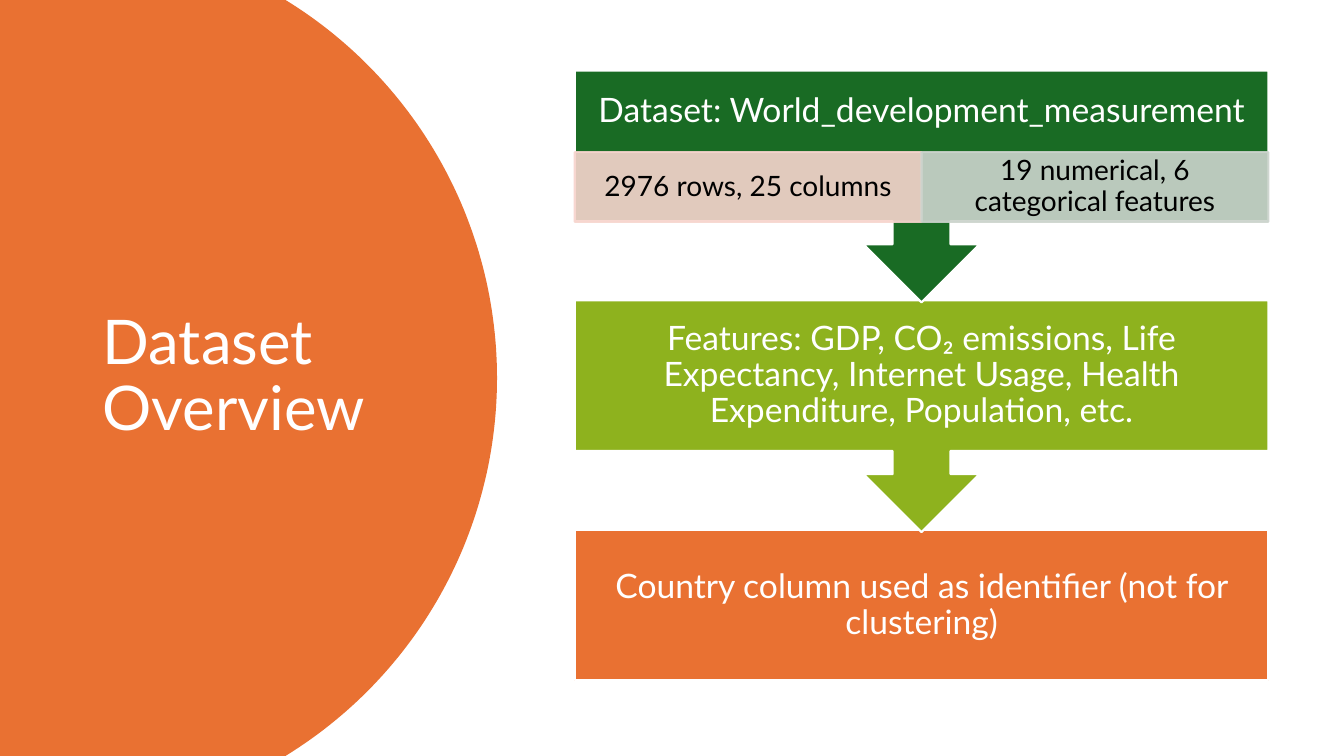
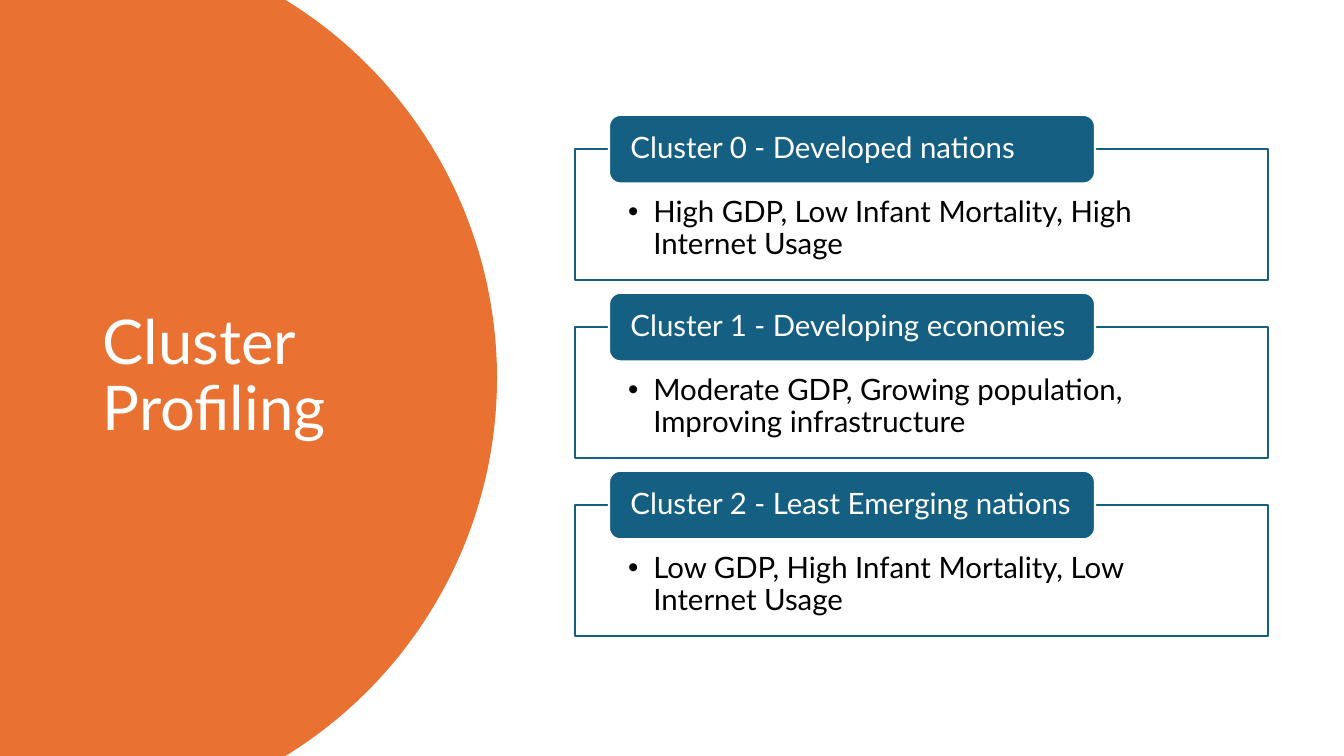
from dataclasses import dataclass
from math import asin, cos, pi, sin

from lxml.etree import SubElement
from pptx import Presentation
from pptx.dml.color import RGBColor
from pptx.enum.shapes import MSO_SHAPE
from pptx.enum.text import MSO_ANCHOR, PP_ALIGN
from pptx.oxml.ns import qn
from pptx.shapes.autoshape import Shape
from pptx.slide import Slide
from pptx.text.text import _Paragraph as Paragraph
from pptx.util import Inches, Pt

# Shared look
FONT = "Lato"
WHITE, BLACK = "FFFFFF", "000000"
ORANGE, LIME, GREEN, BLUE = "E97132", "8EB21E", "196B24", "156082"
PEACH, SAGE = "F7D5CE", "CCD4CD"
SLIDE_WIDTH, SLIDE_HEIGHT = 13.33, 7.5
CONTENT_LEFT, CONTENT_WIDTH = 5.7, 6.88


@dataclass(frozen=True)
class Box:
    left: float
    top: float
    width: float
    height: float


@dataclass(frozen=True)
class TextStyle:
    size: float
    color: str = WHITE
    align: PP_ALIGN = PP_ALIGN.LEFT
    anchor: MSO_ANCHOR = MSO_ANCHOR.MIDDLE
    insets: tuple[float, float, float, float] = (0.1, 0.05, 0.1, 0.05)
    bullet: bool = False


@dataclass(frozen=True)
class Cluster:
    name: str
    profile: str


TITLE_STYLE = TextStyle(44)
STEP_STYLE = TextStyle(24, align=PP_ALIGN.CENTER, insets=(0.19,) * 4)
FACT_STYLE = TextStyle(20, BLACK, PP_ALIGN.CENTER, insets=(0.16, 0.03, 0.16, 0.03))
LABEL_STYLE = TextStyle(21, insets=(0.18, 0, 0.18, 0))
PROFILE_STYLE = TextStyle(21, BLACK, anchor=MSO_ANCHOR.TOP,
                          insets=(0.53, 0.48, 0.53, 0.16), bullet=True)

CLUSTERS = (
    Cluster("Cluster 0 - Developed nations",
            "High GDP, Low Infant Mortality, High Internet Usage"),
    Cluster("Cluster 1 - Developing economies",
            "Moderate GDP, Growing population, Improving infrastructure"),
    Cluster("Cluster 2 - Least Emerging nations",
            "Low GDP, High Infant Mortality, Low Internet Usage"),
)


def color_of(hex_color: str) -> RGBColor:
    return RGBColor.from_string(hex_color)


def add_bullet(paragraph: Paragraph) -> None:
    properties = paragraph._p.get_or_add_pPr()
    properties.set("marL", str(Inches(0.25)))
    properties.set("indent", str(Inches(-0.25)))
    SubElement(properties, qn("a:buFont")).set("typeface", "Arial")
    SubElement(properties, qn("a:buChar")).set("char", "•")


def write_text(shape: Shape, text: str, style: TextStyle) -> None:
    frame = shape.text_frame
    frame.word_wrap = True
    frame.vertical_anchor = style.anchor
    (frame.margin_left, frame.margin_top,
     frame.margin_right, frame.margin_bottom) = map(Inches, style.insets)
    paragraph = frame.paragraphs[0]
    paragraph.text = text
    if style.bullet:
        add_bullet(paragraph)
    paragraph.alignment = style.align
    paragraph.line_spacing = 0.9
    paragraph.font.name = FONT
    paragraph.font.size = Pt(style.size)
    paragraph.font.color.rgb = color_of(style.color)


def add_block(slide: Slide, kind: MSO_SHAPE, box: Box, fill: str, line: str,
              text: str, style: TextStyle, opacity: int = 100) -> None:
    shape = slide.shapes.add_shape(kind, Inches(box.left), Inches(box.top),
                                   Inches(box.width), Inches(box.height))
    shape.shadow.inherit = False
    shape.fill.solid()
    shape.fill.fore_color.rgb = color_of(fill)
    shape.line.color.rgb = color_of(line)
    shape.line.width = Pt(1.5)
    if opacity < 100:
        for color in shape._element.spPr.findall(".//" + qn("a:srgbClr")):
            SubElement(color, qn("a:alpha")).set("val", str(opacity * 1000))
    write_text(shape, text, style)


def add_titled_slide(presentation: Presentation, title: str) -> Slide:
    slide = presentation.slides.add_slide(presentation.slide_layouts[6])

    # Circle cut off by the left, top and bottom edges
    radius, center_x, center_y = 4.4, 0.53, SLIDE_HEIGHT / 2
    half_angle, steps = asin(center_y / radius), 120
    angles = [half_angle * (2 * step / steps - 1) for step in range(steps + 1)]
    arc = [(Inches(center_x + radius * cos(angle)),
            Inches(center_y + radius * sin(angle))) for angle in angles]
    builder = slide.shapes.build_freeform(0, 0)
    builder.add_line_segments([*arc, (0, Inches(SLIDE_HEIGHT))], close=True)
    panel = builder.convert_to_shape()
    panel.shadow.inherit = False
    panel.fill.solid()
    panel.fill.fore_color.rgb = color_of(ORANGE)
    panel.line.fill.background()

    # Title
    title_box = slide.shapes.add_textbox(Inches(0.92), Inches(0.7),
                                         Inches(3.23), Inches(6.09))
    write_text(title_box, title, TITLE_STYLE)
    return slide


def build_overview(presentation: Presentation) -> None:
    slide = add_titled_slide(presentation, "Dataset Overview")
    first_top, pitch, box_height, callout_height = 0.7, 2.28, 1.49, 2.3
    header_height, fact_height = 0.81, 0.69

    # Steps, lowest first so that each arrow lies over the next box
    header_style = TextStyle(24, align=PP_ALIGN.CENTER,
                             insets=(0.19, 0.19, 0.19, box_height - header_height + 0.19))
    steps = (
        (2, MSO_SHAPE.RECTANGLE, box_height, ORANGE, STEP_STYLE,
         "Country column used as identifier (not for clustering)"),
        (1, MSO_SHAPE.DOWN_ARROW_CALLOUT, callout_height, LIME, STEP_STYLE,
         "Features: GDP, CO₂ emissions, Life Expectancy, Internet Usage, "
         "Health Expenditure, Population, etc."),
        (0, MSO_SHAPE.DOWN_ARROW_CALLOUT, callout_height, GREEN, header_style,
         "Dataset: World_development_measurement"),
    )
    for row, kind, height, fill, style, text in steps:
        box = Box(CONTENT_LEFT, first_top + row * pitch, CONTENT_WIDTH, height)
        add_block(slide, kind, box, fill, WHITE, text, style)

    # Facts under the dataset name
    facts = ((PEACH, "2976 rows, 25 columns"),
             (SAGE, "19 numerical, 6 categorical features"))
    fact_width = CONTENT_WIDTH / len(facts)
    for column, (tint, text) in enumerate(facts):
        box = Box(CONTENT_LEFT + column * fact_width, first_top + header_height,
                  fact_width, fact_height)
        add_block(slide, MSO_SHAPE.RECTANGLE, box, tint, tint, text, FACT_STYLE, 90)


def build_profiling(presentation: Presentation) -> None:
    slide = add_titled_slide(presentation, "Cluster Profiling")
    first_top, last_top = 1.48, 5.01
    pitch = (last_top - first_top) / (len(CLUSTERS) - 1)

    # Framed profile with a label over its top edge
    for row, cluster in enumerate(CLUSTERS):
        top = first_top + row * pitch
        add_block(slide, MSO_SHAPE.RECTANGLE, Box(CONTENT_LEFT, top, CONTENT_WIDTH, 1.3),
                  WHITE, BLUE, cluster.profile, PROFILE_STYLE)
        add_block(slide, MSO_SHAPE.ROUNDED_RECTANGLE,
                  Box(CONTENT_LEFT + 0.34, top - 0.34, 4.82, 0.68),
                  BLUE, WHITE, cluster.name, LABEL_STYLE)


def main() -> None:
    presentation = Presentation()
    presentation.slide_width = Inches(SLIDE_WIDTH)
    presentation.slide_height = Inches(SLIDE_HEIGHT)
    build_overview(presentation)
    build_profiling(presentation)
    presentation.save("out.pptx")


if __name__ == "__main__":
    main()
